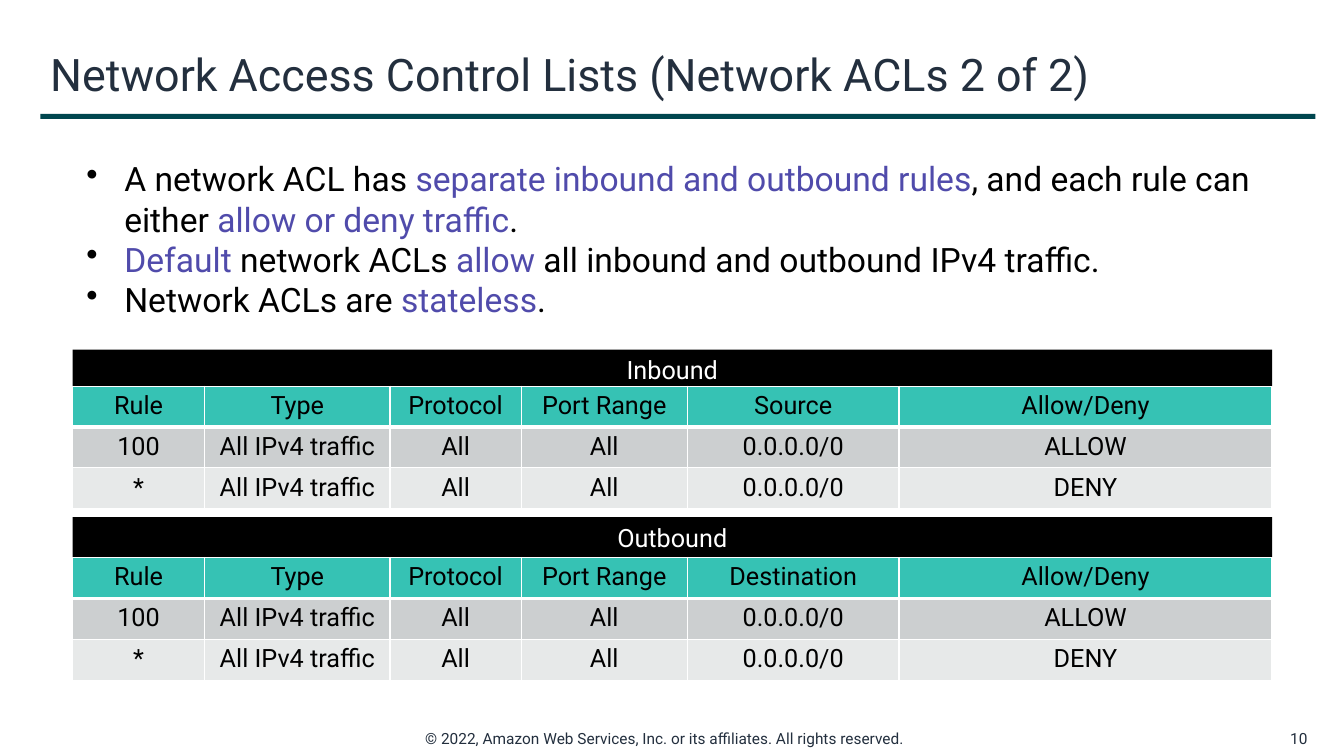
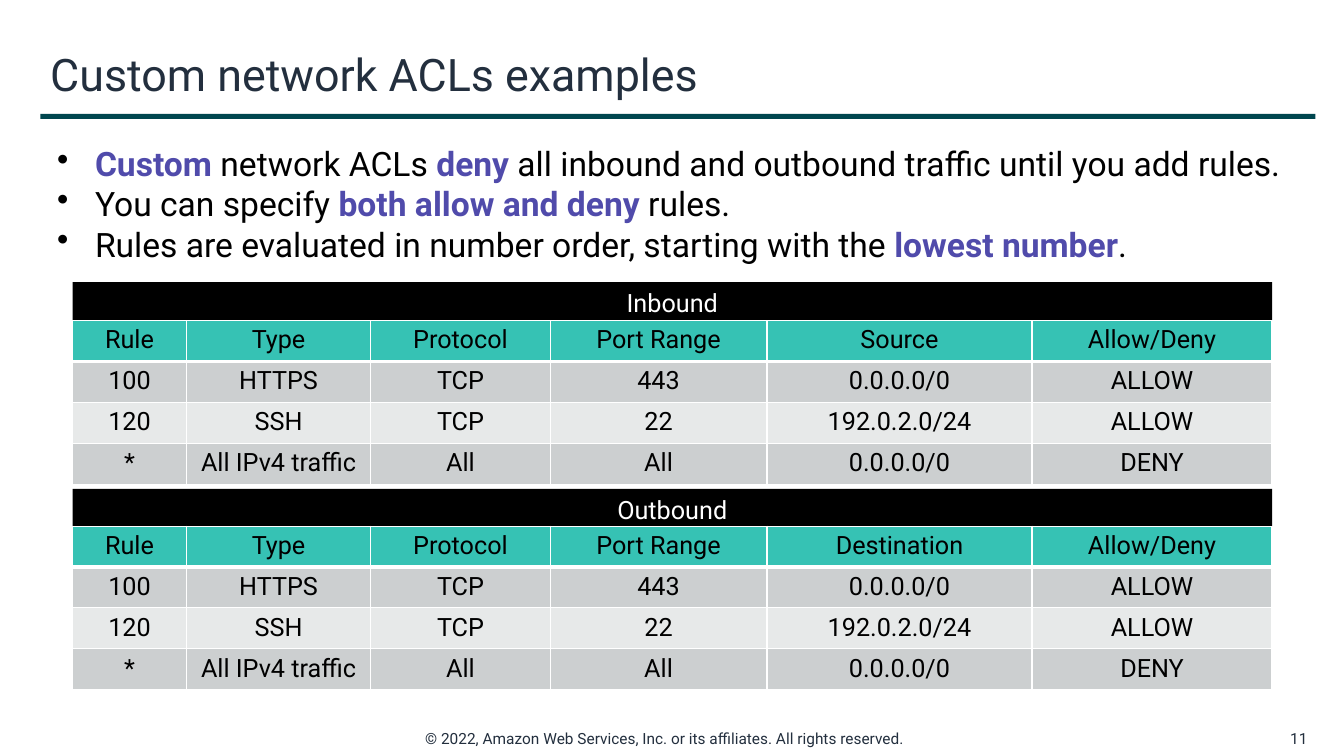
import pptx
import pptx.dml.color
import pptx.enum.shapes
import pptx.enum.text
import pptx.oxml
import pptx.oxml.ns
import pptx.util

Pt = pptx.util.Pt
ALIGN = pptx.enum.text.PP_ALIGN
ANCHOR = pptx.enum.text.MSO_ANCHOR
COLOURS = {
    "navy": "232F3E", "rule": "00464F", "accent": "504BAB", "black": "000000",
    "white": "FFFFFF", "heading": "36C2B4", "dark row": "CCCFD0", "light row": "E7E9E9",
}
RGB = {name: pptx.dml.color.RGBColor.from_string(value) for name, value in COLOURS.items()}
COPYRIGHT = "© 2022, Amazon Web Services, Inc. or its affiliates. All rights reserved."
TABLE_LEFT, TABLE_WIDTH = 51.84, 856.8
BAR_HEIGHT, ROW_HEIGHT = 28.8, 29.2
BULLET_INDENT = 27

# Emphasised words in the bullets stand between bars.
SLIDES = [
    {
        "number": 10,
        "title": "Network Access Control Lists (Network ACLs 2 of 2)",
        "bullets": [
            "A network ACL has |separate inbound and outbound rules|, and each rule can "
            "either |allow or deny traffic|.",
            "|Default| network ACLs |allow| all inbound and outbound IPv4 traffic.",
            "Network ACLs are |stateless|.",
        ],
        "bullet area": (54.7, 109.4, 895, 123.8),
        "bold": False,
        "columns": [94.3, 132.5, 93.6, 118.8, 151.2, 266.4],
        "rules": [
            ["100", "All IPv4 traffic", "All", "All", "0.0.0.0/0", "ALLOW"],
            ["*", "All IPv4 traffic", "All", "All", "0.0.0.0/0", "DENY"],
        ],
        "tops": [(249.8, 275.8), (369.4, 398.2)],
    },
    {
        "number": 11,
        "title": "Custom network ACLs examples",
        "bullets": [
            "|Custom| network ACLs |deny| all inbound and outbound traffic until you add rules.",
            "You can specify |both allow and deny| rules.",
            "Rules are evaluated in number order, starting with the |lowest number|.",
        ],
        "bullet area": (33.8, 98.6, 892.8, 94.3),
        "bold": True,
        "columns": [81.3, 131.7, 128.2, 154.8, 189.4, 171.4],
        "rules": [
            ["100", "HTTPS", "TCP", "443", "0.0.0.0/0", "ALLOW"],
            ["120", "SSH", "TCP", "22", "192.0.2.0/24", "ALLOW"],
            ["*", "All IPv4 traffic", "All", "All", "0.0.0.0/0", "DENY"],
        ],
        "tops": [(201.6, 229), (349.2, 375.8)],
    },
]


def add_span(para, text, size, colour, bold=False, align=ALIGN.LEFT):
    para.alignment = align
    span = para.add_run()
    span.text = text
    for name, value in {"name": "Roboto", "size": Pt(size), "bold": bold}.items():
        setattr(span.font, name, value)
    span.font.color.rgb = RGB[colour]


def add_box(slide, area, fill=None, anchor=ANCHOR.TOP, wrap=True):
    """Add a text box, or a filled rectangle when a fill is given."""
    area = [Pt(length) for length in area]
    if fill:
        box = slide.shapes.add_shape(pptx.enum.shapes.MSO_SHAPE.RECTANGLE, *area)
        box.shadow.inherit = False
        box.fill.solid()
        box.fill.fore_color.rgb = RGB[fill]
        box.line.fill.background()
    else:
        box = slide.shapes.add_textbox(*area)
    box.text_frame.word_wrap = wrap
    box.text_frame.vertical_anchor = anchor
    return box


deck = pptx.Presentation()
deck.slide_width, deck.slide_height = Pt(960), Pt(540)

for content in SLIDES:
    slide = deck.slides.add_slide(deck.slide_layouts[6])

    footer = add_box(slide, (296.6, 517, 366.5, 20.9), wrap=False)
    add_span(footer.text_frame.paragraphs[0], COPYRIGHT, 11, "navy")
    add_box(slide, (28.8, 81.4, 910.8, 3.6), fill="rule")
    number = add_box(slide, (902.9, 517, 38.2, 20.9), anchor=ANCHOR.MIDDLE)
    add_span(number.text_frame.paragraphs[0], str(content["number"]), 11, "navy", align=ALIGN.RIGHT)
    title = add_box(slide, (28.8, 23.8, 910.8, 57.6), anchor=ANCHOR.MIDDLE)
    add_span(title.text_frame.paragraphs[0], content["title"], 32, "navy")

    bullets = add_box(slide, content["bullet area"]).text_frame
    for index, sentence in enumerate(content["bullets"]):
        para = bullets.add_paragraph() if index else bullets.paragraphs[0]
        properties = para._p.get_or_add_pPr()
        properties.set("marL", str(Pt(BULLET_INDENT)))
        properties.set("indent", str(-Pt(BULLET_INDENT)))
        for xml in (
            f'<a:buClr %s><a:srgbClr val="{COLOURS["black"]}"/></a:buClr>',
            '<a:buChar %s char="•"/>',
        ):
            properties.append(pptx.oxml.parse_xml(xml % pptx.oxml.ns.nsdecls("a")))
        for part, words in enumerate(sentence.split("|")):
            emphasised = part % 2 == 1
            if words:
                add_span(para, words, 24, "accent" if emphasised else "black",
                         bold=emphasised and content["bold"])

    directions = [("Inbound", "Source"), ("Outbound", "Destination")]
    for (direction, address), (bar_top, table_top) in zip(directions, content["tops"]):
        bar = add_box(slide, (TABLE_LEFT, bar_top, TABLE_WIDTH, BAR_HEIGHT), fill="black")
        add_span(bar.text_frame.paragraphs[0], direction, 18, "white", align=ALIGN.CENTER)

        headings = ["Rule", "Type", "Protocol", "Port Range", address, "Allow/Deny"]
        rows = [headings] + content["rules"]
        table = slide.shapes.add_table(
            len(rows), len(headings), Pt(TABLE_LEFT), Pt(table_top),
            Pt(TABLE_WIDTH), Pt(ROW_HEIGHT * len(rows))).table
        table.first_row = table.horz_banding = False
        for column, width in zip(table.columns, content["columns"]):
            column.width = Pt(width)
        for row_index, row in enumerate(rows):
            table.rows[row_index].height = Pt(ROW_HEIGHT)
            if row_index == 0:
                fill, bottom = "heading", 3
            else:
                fill, bottom = ("dark row" if row_index % 2 else "light row"), 1
            for column_index, text in enumerate(row):
                cell = table.cell(row_index, column_index)
                add_span(cell.text_frame.paragraphs[0], text, 18, "black", align=ALIGN.CENTER)
                for side, weight in {"L": 1, "R": 1, "T": 1, "B": bottom}.items():
                    cell._tc.get_or_add_tcPr().append(pptx.oxml.parse_xml(
                        f'<a:ln{side} {pptx.oxml.ns.nsdecls("a")} w="{Pt(weight)}"><a:solidFill>'
                        f'<a:srgbClr val="{COLOURS["white"]}"/></a:solidFill></a:ln{side}>'))
                cell.fill.solid()
                cell.fill.fore_color.rgb = RGB[fill]

deck.save("out.pptx")
